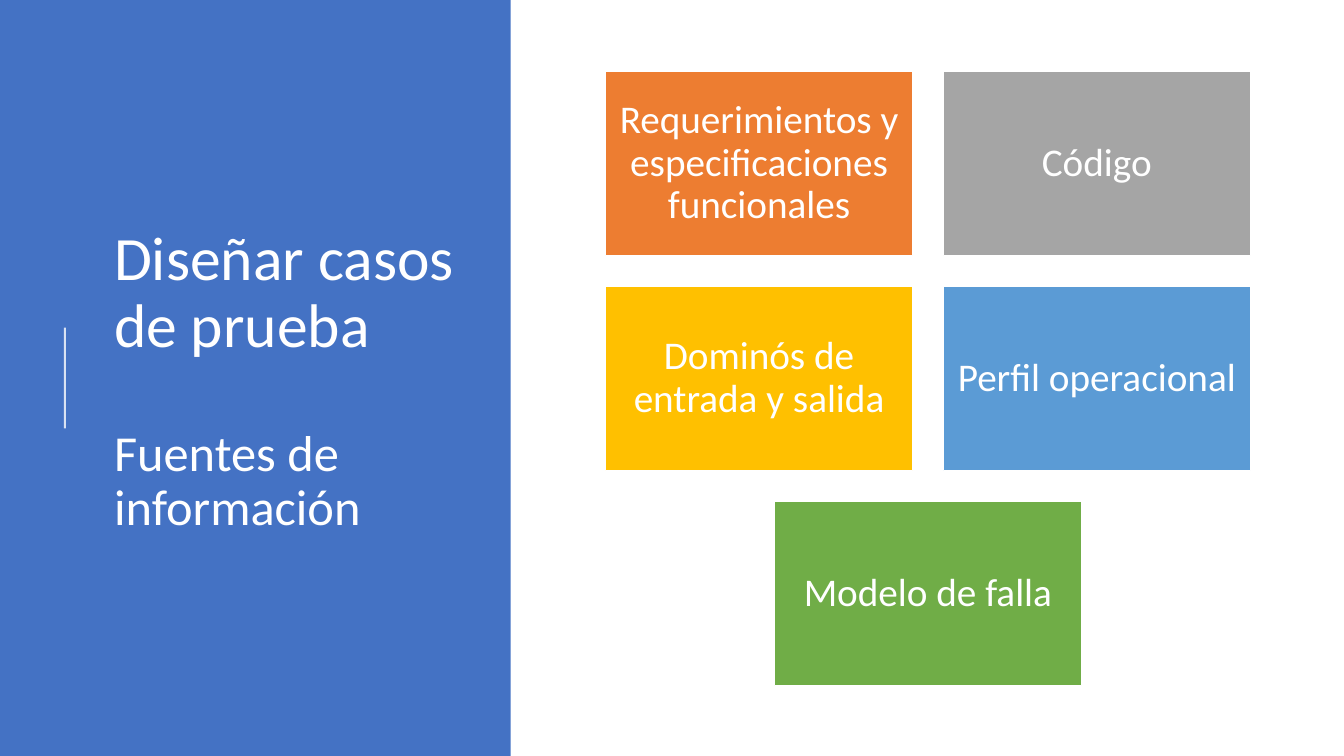
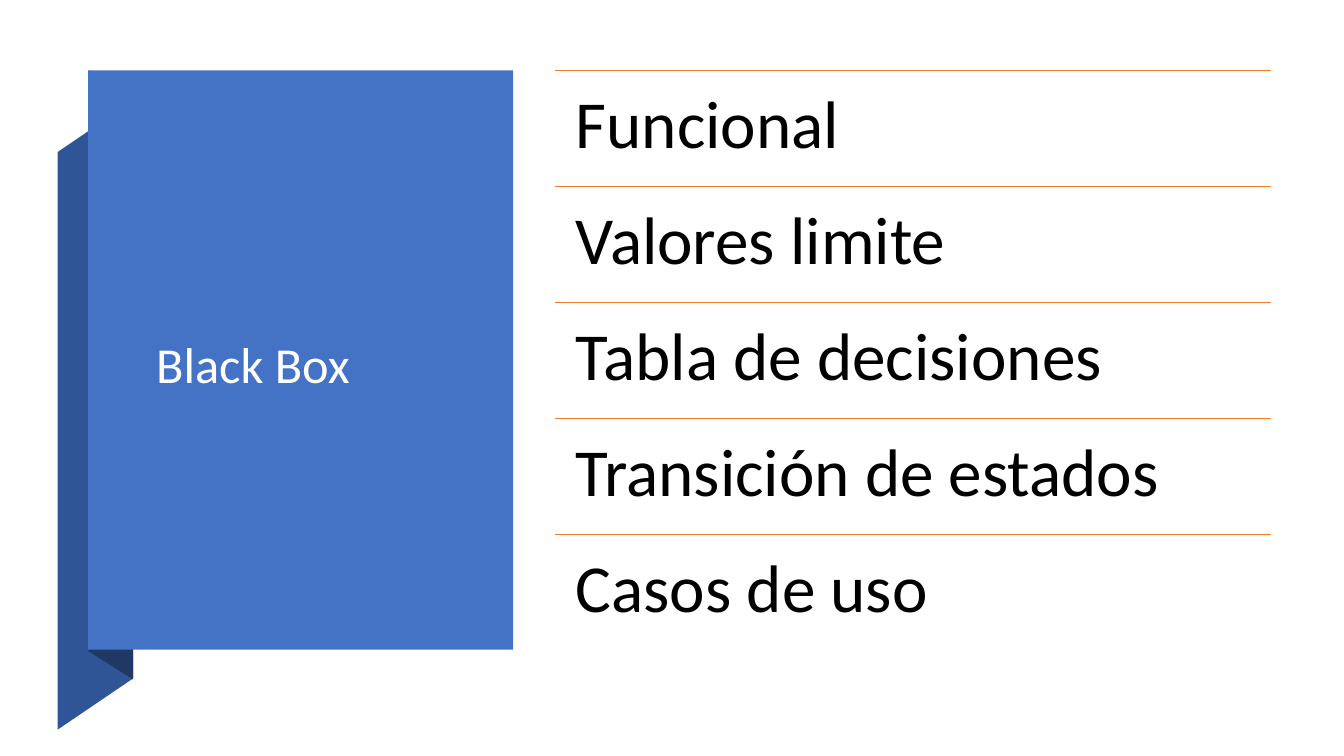
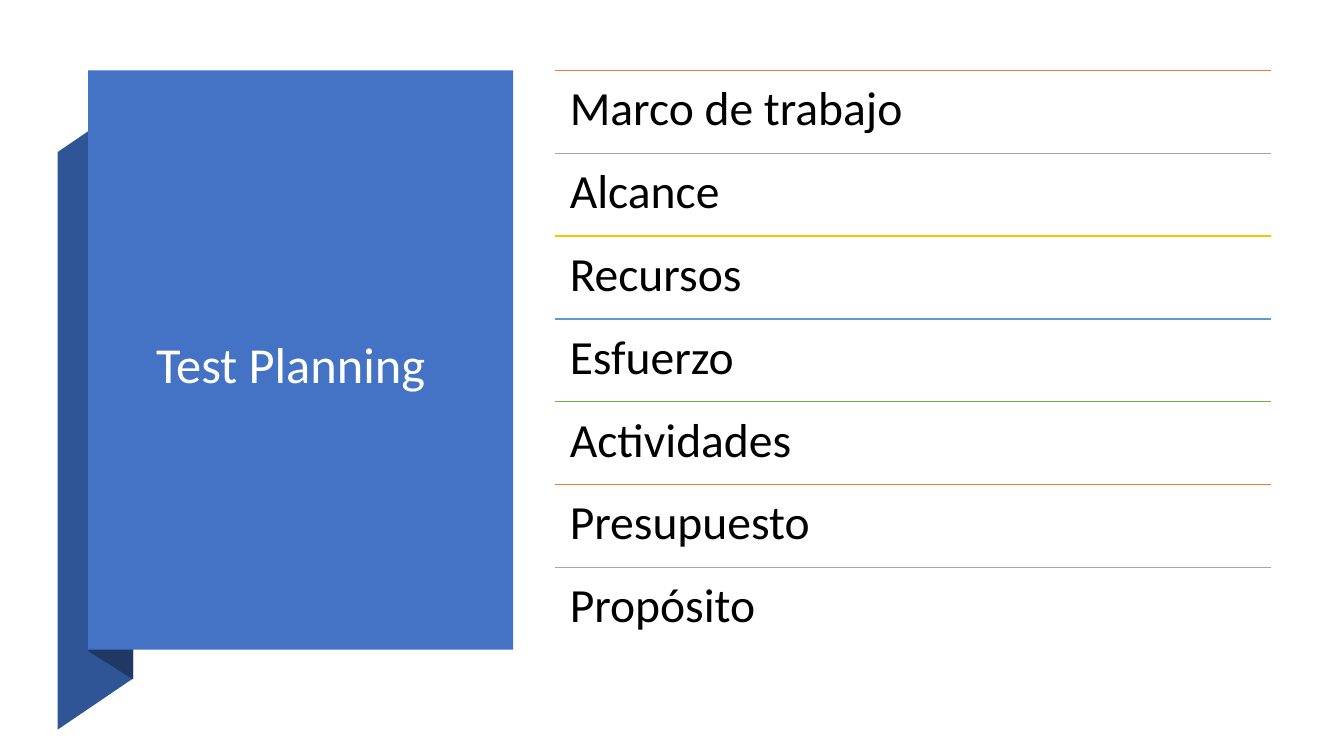
from dataclasses import dataclass
from itertools import cycle
from typing import NamedTuple

from lxml import etree
from pptx import Presentation
from pptx.dml.color import RGBColor
from pptx.enum.shapes import MSO_CONNECTOR, MSO_SHAPE
from pptx.enum.text import MSO_ANCHOR, PP_ALIGN
from pptx.oxml.ns import qn
from pptx.util import Inches, Pt

RECTANGLE = MSO_SHAPE.RECTANGLE
STRAIGHT = MSO_CONNECTOR.STRAIGHT
TOP, MIDDLE = MSO_ANCHOR.TOP, MSO_ANCHOR.MIDDLE
LEFT, CENTER = PP_ALIGN.LEFT, PP_ALIGN.CENTER

SLIDE_WIDTH, SLIDE_HEIGHT = Inches(13.33), Inches(7.5)
BLANK_LAYOUT = 6


@dataclass(frozen=True)
class Theme:
    font: str = "Calibri"
    white: str = "FFFFFF"
    black: str = "000000"
    panel: str = "4472C4"
    ribbon: str = "2F5597"
    fold: str = "203864"
    orange: str = "ED7D31"
    accents: tuple[str, ...] = ("ED7D31", "A5A5A5", "FFC000", "5B9BD5", "70AD47")
    heading_size: int = 44
    title_size: int = 36
    card_size: int = 28
    line_spacing: float = 0.9
    inset_share: float = 0.3  # of the type size
    rule_width: float = 1
    marker_width: float = 1.5
    marker_opacity: int = 80


THEME = Theme()


class Point(NamedTuple):
    """A place in percent of the slide's width and height."""
    x: float
    y: float

    def emu(self) -> tuple[int, int]:
        return round(SLIDE_WIDTH * self.x / 100), round(SLIDE_HEIGHT * self.y / 100)


class Frame(NamedTuple):
    """A rectangle in percent of the slide's width and height."""
    left: float
    top: float
    width: float
    height: float

    def emu(self) -> tuple[int, int, int, int]:
        return Point(*self[:2]).emu() + Point(*self[2:]).emu()


@dataclass(frozen=True)
class Grid:
    first: Frame
    pitch_x: float
    pitch_y: float

    def cell(self, column: float, row: float) -> Frame:
        return self.first._replace(left=self.first.left + column * self.pitch_x,
                                   top=self.first.top + row * self.pitch_y)


class Line(NamedTuple):
    text: str
    size: int
    space_before: float = 0


class TopicList(NamedTuple):
    title: str
    topics: tuple[str, ...]
    size: int
    colors: tuple[str, ...]


SIDE_PANEL = Frame(0, 0, 38, 100)
HEADING_FRAME = Frame(7.75, 10.4, 27.7, 80.27)
MARKER = (Point(4.83, 56.67), Point(4.83, 43.33))
CARD_COLUMNS = 2
CARD_GRID = Grid(Frame(45.05, 9.4, 22.85, 24.4), 25.13, 28.45)

RIBBON = (Point(4.28, 96.53), Point(9.9, 89.75), Point(9.9, 13.33), Point(4.28, 20.13))
FOLD = (Point(6.57, 86.13), Point(9.9, 89.87), Point(9.9, 13.2), Point(6.57, 9.33))
TITLE_PANEL = Frame(6.55, 9.33, 31.63, 76.6)
TITLE_FRAME = Frame(10.88, 22.27, 22.58, 52.53)
LIST_FRAME = Frame(41.33, 9.33, 53.25, 76.67)

SOURCES = (
    "Requerimientos y especificaciones funcionales",
    "Código",
    "Dominós de entrada y salida",
    "Perfil operacional",
    "Modelo de falla",
)
TOPIC_LISTS = (
    TopicList("Black Box",
              ("Funcional", "Valores limite", "Tabla de decisiones",
               "Transición de estados", "Casos de uso"),
              48, (THEME.orange,)),
    TopicList("Test Planning",
              ("Marco de trabajo", "Alcance", "Recursos", "Esfuerzo",
               "Actividades", "Presupuesto", "Propósito"),
              34, THEME.accents),
)


def paint(shape, fill: str, outline: str | None = None) -> None:
    shape.shadow.inherit = False
    shape.fill.solid()
    shape.fill.fore_color.rgb = RGBColor.from_string(fill)
    if outline:
        shape.line.color.rgb = RGBColor.from_string(outline)
        shape.line.width = Pt(THEME.rule_width)
    else:
        shape.line.fill.background()


def add_box(slide, frame: Frame, fill: str, outline: str | None = None):
    box = slide.shapes.add_shape(RECTANGLE, *frame.emu())
    paint(box, fill, outline)
    return box


def add_polygon(slide, points: tuple[Point, ...], fill: str) -> None:
    start, *others = [point.emu() for point in points]
    builder = slide.shapes.build_freeform(*start)
    builder.add_line_segments(others, close=True)
    paint(builder.convert_to_shape(), fill)


def add_line(slide, start: Point, end: Point, color: str, width: float,
             opacity: int = 100) -> None:
    line = slide.shapes.add_connector(STRAIGHT, *start.emu(), *end.emu())
    line.line.color.rgb = RGBColor.from_string(color)
    line.line.width = Pt(width)
    properties = line._element.spPr
    if opacity < 100:
        tint = properties.find(".//" + qn("a:srgbClr"))
        etree.SubElement(tint, qn("a:alpha"), val=str(opacity * 1000))
    etree.SubElement(properties, qn("a:effectLst"))


def write(box, lines: tuple[Line, ...], color: str, align=LEFT, anchor=MIDDLE,
          inset: float | None = None) -> None:
    """Fill a box with one paragraph per line; inset is in points."""
    frame = box.text_frame
    frame.word_wrap = True
    frame.vertical_anchor = anchor
    if inset is not None:
        frame.margin_left = frame.margin_right = Pt(inset)
        frame.margin_top = frame.margin_bottom = Pt(inset)
    frame.text = "\n".join(line.text for line in lines)
    for para, line in zip(frame.paragraphs, lines):
        para.alignment = align
        para.line_spacing = THEME.line_spacing
        para.space_before = Pt(line.space_before)
        for span in para.runs:
            span.font.name = THEME.font
            span.font.size = Pt(line.size)
            span.font.color.rgb = RGBColor.from_string(color)


def draw_sources(slide) -> None:
    add_box(slide, SIDE_PANEL, THEME.panel)
    heading = slide.shapes.add_textbox(*HEADING_FRAME.emu())
    write(heading, (Line("Diseñar casos de prueba", THEME.heading_size),
                    Line("Fuentes de información", THEME.title_size, 48)), THEME.white)
    add_line(slide, *MARKER, THEME.white, THEME.marker_width, THEME.marker_opacity)
    for index, (source, color) in enumerate(zip(SOURCES, THEME.accents)):
        row, column = divmod(index, CARD_COLUMNS)
        cards_in_row = min(CARD_COLUMNS, len(SOURCES) - row * CARD_COLUMNS)
        centering = (CARD_COLUMNS - cards_in_row) / 2
        card = add_box(slide, CARD_GRID.cell(column + centering, row), color, THEME.white)
        write(card, (Line(source, THEME.card_size),), THEME.white, CENTER,
              inset=THEME.card_size * THEME.inset_share)


def draw_topic_list(slide, content: TopicList) -> None:
    add_polygon(slide, RIBBON, THEME.ribbon)
    add_polygon(slide, FOLD, THEME.fold)
    add_box(slide, TITLE_PANEL, THEME.panel)
    title = slide.shapes.add_textbox(*TITLE_FRAME.emu())
    write(title, (Line(content.title, THEME.title_size),), THEME.white)

    row_height = LIST_FRAME.height / len(content.topics)
    rows = Grid(LIST_FRAME._replace(height=row_height), 0, row_height)
    for row, (topic, color) in enumerate(zip(content.topics, cycle(content.colors))):
        cell = rows.cell(0, row)
        add_line(slide, Point(cell.left, cell.top),
                 Point(cell.left + cell.width, cell.top), color, THEME.rule_width)
        label = slide.shapes.add_textbox(*cell.emu())
        write(label, (Line(topic, content.size),), THEME.black, anchor=TOP,
              inset=content.size * THEME.inset_share)


def main() -> None:
    deck = Presentation()
    deck.slide_width, deck.slide_height = SLIDE_WIDTH, SLIDE_HEIGHT
    blank = deck.slide_layouts[BLANK_LAYOUT]
    draw_sources(deck.slides.add_slide(blank))
    for content in TOPIC_LISTS:
        draw_topic_list(deck.slides.add_slide(blank), content)
    deck.save("out.pptx")


if __name__ == "__main__":
    main()
